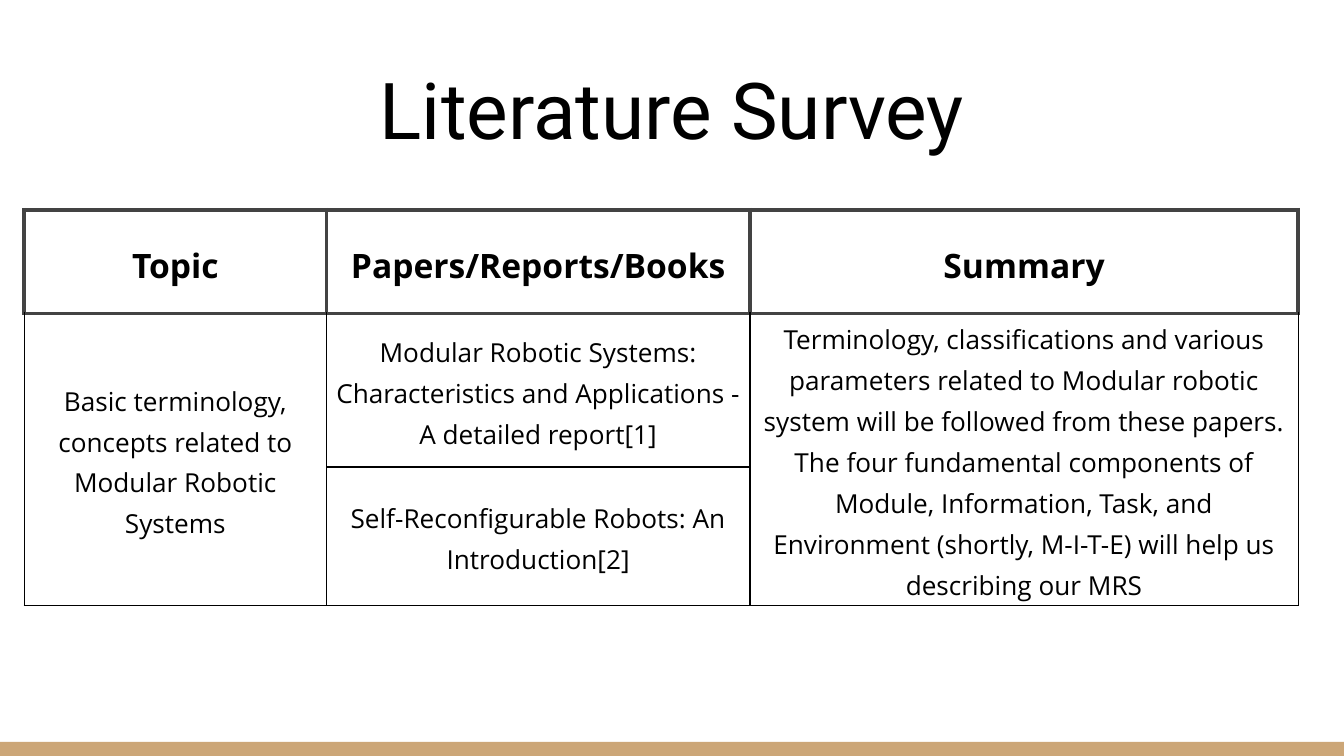
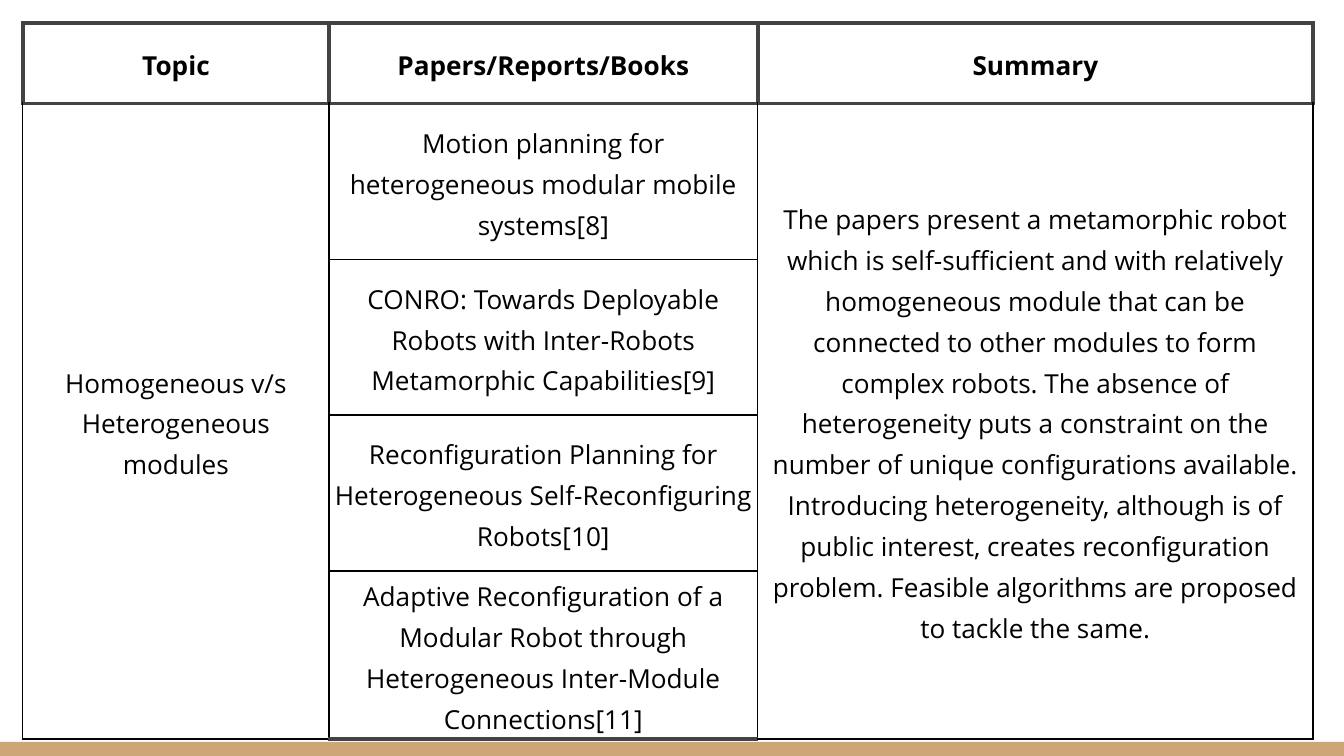
from dataclasses import dataclass

from lxml.etree import SubElement
from pptx import Presentation
from pptx.dml.color import RGBColor
from pptx.enum.shapes import MSO_SHAPE
from pptx.enum.text import MSO_ANCHOR, PP_ALIGN
from pptx.oxml.ns import qn
from pptx.presentation import Presentation as Deck
from pptx.slide import Slide
from pptx.table import _Cell as Cell
from pptx.text.text import TextFrame
from pptx.util import Inches, Pt

WIDTH = Inches(10)
HEIGHT = WIDTH * 9 // 16
WHITE, BLACK, TAN, GREY = "FFFFFF", "000000", "CCA677", "434343"
TITLE_FONT, TABLE_FONT = "Roboto", "Open Sans"
THICK, THIN = (GREY, 2.25), (BLACK, 0.75)
HEADINGS = ("Topic", "Papers/Reports/Books", "Summary")
COLUMN_WEIGHTS = (2.25, 3.15, 4.08)
BODY_SIZE = 14


@dataclass(frozen=True)
class Area:
    """A rectangle in percent of the slide's size."""
    left: float
    top: float
    width: float
    height: float

    def emu(self) -> tuple[int, int, int, int]:
        return (round(WIDTH * self.left / 100), round(HEIGHT * self.top / 100),
                round(WIDTH * self.width / 100), round(HEIGHT * self.height / 100))


@dataclass(frozen=True)
class Survey:
    area: Area
    row_weights: tuple[float, ...]
    topic: str
    papers: tuple[str, ...]
    summary: str
    heading_size: float = BODY_SIZE
    title: str = ""
    closing_edge: tuple[str, float] = THIN


BAND = Area(0, 98.13, 100, 1.87)
TITLE = Area(3.4, 6.15, 93.2, 16.15)

SURVEYS = (
    Survey(
        title="Literature Survey",
        area=Area(1.8, 27.75, 94.8, 52.4),
        row_weights=(0.77, 1.14, 1.03),
        heading_size=18,
        topic="Basic terminology, concepts related to Modular Robotic Systems",
        papers=(
            "Modular Robotic Systems: Characteristics and Applications - "
            "A detailed report[1]",
            "Self-Reconfigurable Robots: An Introduction[2]",
        ),
        summary="Terminology, classifications and various parameters related to "
                "Modular robotic system will be followed from these papers. The four "
                "fundamental components of Module, Information, Task, and Environment "
                "(shortly, M-I-T-E) will help us describing our MRS",
    ),
    Survey(
        area=Area(1.7, 3, 96, 94.76),
        row_weights=(0.6, 1.16, 1.16, 1.16, 1.25),
        topic="Homogeneous v/s Heterogeneous modules",
        papers=(
            "Motion planning for heterogeneous modular mobile systems[8]",
            "CONRO: Towards Deployable Robots with Inter-Robots "
            "Metamorphic Capabilities[9]",
            "Reconfiguration Planning for Heterogeneous Self-Reconfiguring Robots[10]",
            "Adaptive Reconfiguration of a Modular Robot through Heterogeneous "
            "Inter-Module Connections[11]",
        ),
        summary="The papers present a metamorphic robot which is self-sufficient and "
                "with relatively homogeneous module that can be connected to other "
                "modules to form complex robots. The absence of heterogeneity puts a "
                "constraint on the number of unique configurations available. "
                "Introducing heterogeneity, although is of public interest, creates "
                "reconfiguration problem. Feasible algorithms are proposed to tackle "
                "the same.",
        closing_edge=THICK,
    ),
)


def color(value: str) -> RGBColor:
    return RGBColor.from_string(value)


def write(frame: TextFrame, text: str, *, font: str = TABLE_FONT,
          size: float = BODY_SIZE, bold: bool = False, spacing: float = 1.15) -> None:
    paragraph = frame.paragraphs[0]
    paragraph.alignment = PP_ALIGN.CENTER
    paragraph.line_spacing = spacing
    run = paragraph.add_run()
    run.text = text
    run.font.name, run.font.size, run.font.bold = font, Pt(size), bold
    run.font.color.rgb = color(BLACK)


def set_edges(cell: Cell, **edges: tuple[str, float]) -> None:
    """Draw the cell's borders; edges must be given in the order L, R, T, B."""
    properties = cell._tc.get_or_add_tcPr()
    for side, (line_color, points) in edges.items():
        line = SubElement(properties, qn(f"a:ln{side}"), w=str(Pt(points)))
        fill = SubElement(line, qn("a:solidFill"))
        SubElement(fill, qn("a:srgbClr"), val=line_color)


def add_band(slide: Slide) -> None:
    band = slide.shapes.add_shape(MSO_SHAPE.RECTANGLE, *BAND.emu())
    band.shadow.inherit = False
    band.fill.solid()
    band.fill.fore_color.rgb = color(TAN)
    band.line.fill.background()


def add_title(slide: Slide, text: str) -> None:
    frame = slide.shapes.add_textbox(*TITLE.emu()).text_frame
    frame.word_wrap = True
    frame.vertical_anchor = MSO_ANCHOR.BOTTOM
    frame.margin_left = frame.margin_right = Inches(0.1)
    frame.margin_top = frame.margin_bottom = Inches(0.1)
    write(frame, text, font=TITLE_FONT, size=42, spacing=1.0)


def add_survey_table(slide: Slide, survey: Survey) -> None:
    row_count = len(survey.papers) + 1
    frame = slide.shapes.add_table(row_count, len(HEADINGS), *survey.area.emu())
    table = frame.table
    table.first_row = table.horz_banding = False
    _, _, width, height = survey.area.emu()
    for column, weight in zip(table.columns, COLUMN_WEIGHTS):
        column.width = round(width * weight / sum(COLUMN_WEIGHTS))
    for row, weight in zip(table.rows, survey.row_weights):
        row.height = round(height * weight / sum(survey.row_weights))

    for row in range(row_count):
        for column in range(len(HEADINGS)):
            cell = table.cell(row, column)
            cell.vertical_anchor = MSO_ANCHOR.MIDDLE
            cell.margin_left = cell.margin_right = Inches(0.03)
            cell.margin_top = cell.margin_bottom = Inches(0.02)
            side = bottom = THICK if row == 0 else THIN
            top = THICK if row <= 1 else THIN
            if row == row_count - 1 and column == 1:
                bottom = survey.closing_edge
            set_edges(cell, L=side, R=side, T=top, B=bottom)
            cell.fill.background()

    for column, heading in enumerate(HEADINGS):
        write(table.cell(0, column).text_frame, heading,
              size=survey.heading_size, bold=True)
    for row, paper in enumerate(survey.papers, start=1):
        write(table.cell(row, 1).text_frame, paper)
    for column, text in ((0, survey.topic), (2, survey.summary)):
        first = table.cell(1, column)
        first.merge(table.cell(row_count - 1, column))
        write(first.text_frame, text)


def add_survey_slide(deck: Deck, survey: Survey) -> None:
    slide = deck.slides.add_slide(deck.slide_layouts[6])
    slide.background.fill.solid()
    slide.background.fill.fore_color.rgb = color(WHITE)
    add_band(slide)
    if survey.title:
        add_title(slide, survey.title)
    add_survey_table(slide, survey)


def main() -> None:
    deck = Presentation()
    deck.slide_width, deck.slide_height = WIDTH, HEIGHT
    for survey in SURVEYS:
        add_survey_slide(deck, survey)
    deck.save("out.pptx")


if __name__ == "__main__":
    main()
